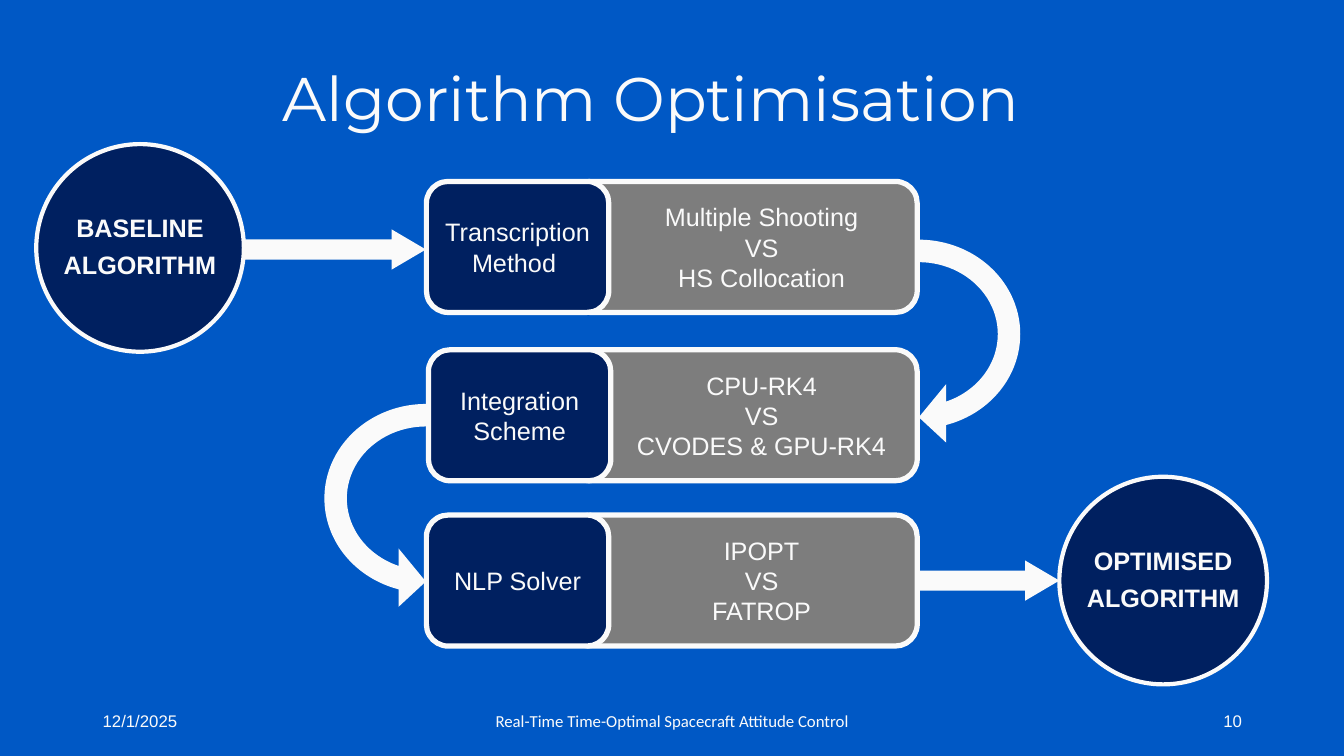
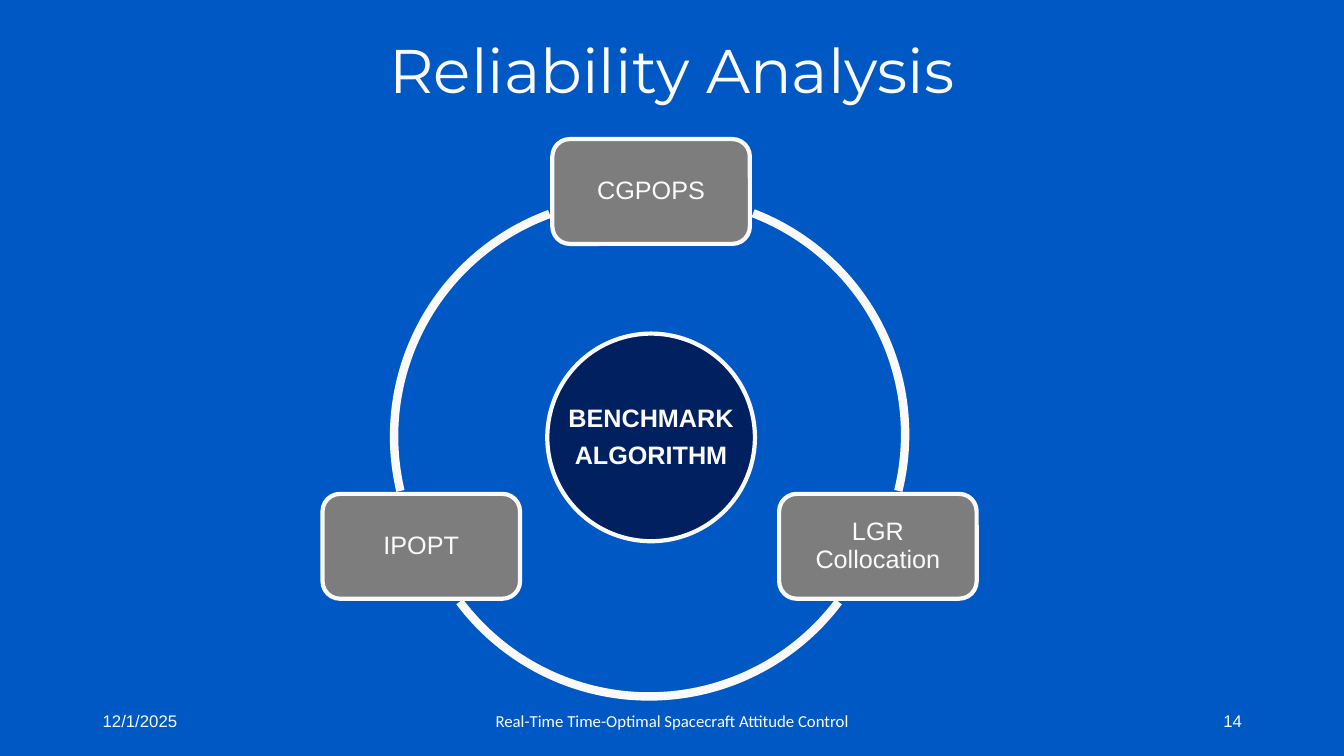
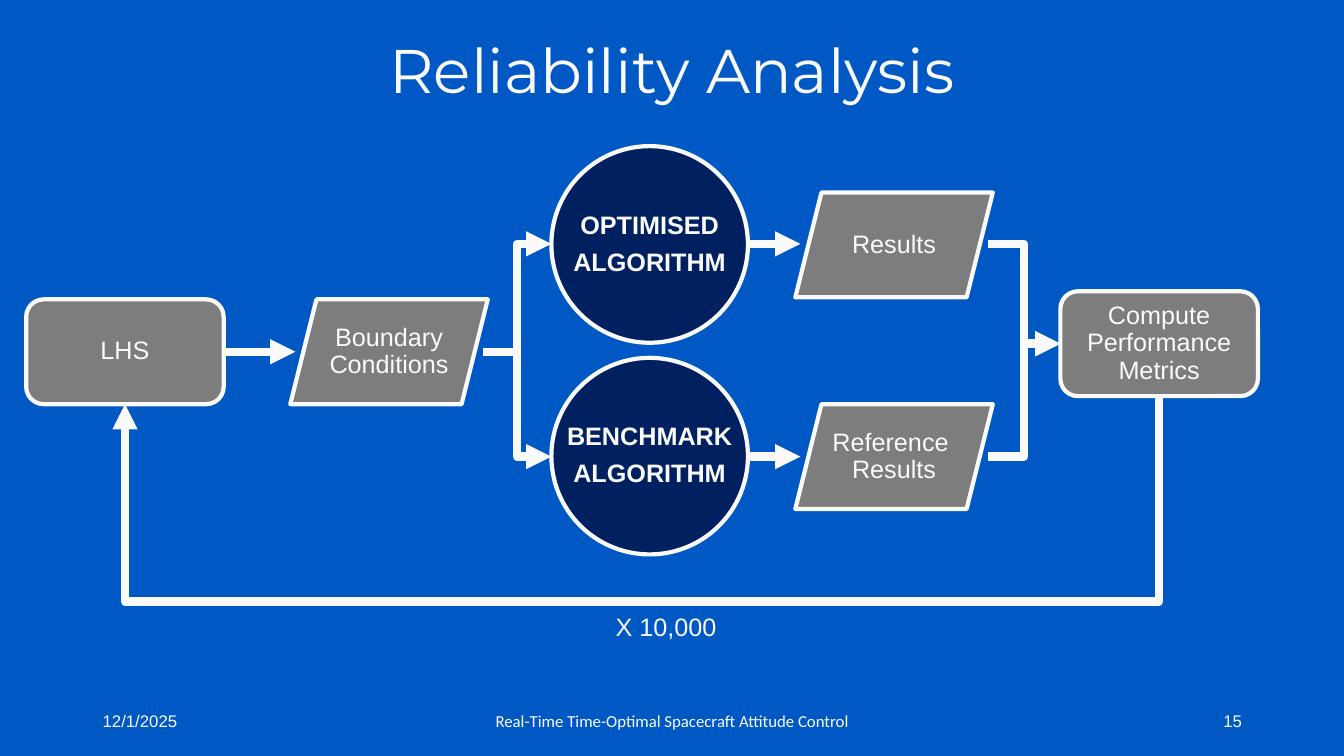
from dataclasses import dataclass

from lxml.etree import SubElement
from pptx import Presentation
from pptx.dml.color import RGBColor
from pptx.enum.shapes import MSO_CONNECTOR, MSO_SHAPE
from pptx.enum.text import MSO_ANCHOR, PP_ALIGN
from pptx.oxml.ns import qn
from pptx.presentation import Presentation as Deck
from pptx.shapes.autoshape import Shape
from pptx.shapes.connector import Connector
from pptx.slide import Slide
from pptx.text.text import TextFrame
from pptx.util import Emu, Pt

EMU_PER_PX = 9144


@dataclass(frozen=True)
class Theme:
    background: str = "0058C5"
    navy: str = "002060"
    grey: str = "7D7D7D"
    white: str = "FAFAFA"
    footer_white: str = "FBFBFB"
    body_font: str = "Arial"
    title_font: str = "Montserrat"
    footer_font: str = "Calibri"
    title_size: int = 44
    body_size: int = 18
    footer_size: int = 12
    outline: float = 3
    stage_outline: float = 3.75
    stroke: float = 6


THEME = Theme()


@dataclass(frozen=True)
class Area:
    left: int
    top: int
    width: int
    height: int


@dataclass(frozen=True)
class Stage:
    left: int
    top: int
    name: str
    options: tuple[str, ...]


@dataclass(frozen=True)
class Node:
    left: int
    top: int
    text: str
    kind: MSO_SHAPE = MSO_SHAPE.ROUNDED_RECTANGLE


@dataclass(frozen=True)
class Arc:
    left: int
    top: int
    start: float
    end: float


@dataclass(frozen=True)
class Link:
    begin: tuple[int, int]
    end: tuple[int, int]


def px(length: float) -> Emu:
    return Emu(round(length * EMU_PER_PX))


def place(area: Area) -> tuple[Emu, Emu, Emu, Emu]:
    return px(area.left), px(area.top), px(area.width), px(area.height)


def color(value: str) -> RGBColor:
    return RGBColor.from_string(value)


def write(
    frame: TextFrame,
    *paragraphs: str,
    size: int = THEME.body_size,
    font: str = THEME.body_font,
    ink: str = THEME.white,
    bold: bool = False,
    align: PP_ALIGN = PP_ALIGN.CENTER,
    anchor: MSO_ANCHOR = MSO_ANCHOR.MIDDLE,
    spacing: float = 1.0,
    after: int = 0,
    insets: tuple[int, int, int, int] = (10, 5, 10, 5),
    wrap: bool = True,
) -> None:
    frame.word_wrap = wrap
    frame.vertical_anchor = anchor
    frame.margin_left, frame.margin_top, frame.margin_right, frame.margin_bottom = map(px, insets)
    for index, text in enumerate(paragraphs):
        para = frame.add_paragraph() if index else frame.paragraphs[0]
        para.text = text
        para.alignment = align
        para.line_spacing = spacing
        para.space_after = Pt(after)
        for span in para.runs:
            span.font.size = Pt(size)
            span.font.name = font
            span.font.bold = bold
            span.font.color.rgb = color(ink)


def add_text(page: Slide, area: Area, text: str, **style) -> None:
    box = page.shapes.add_textbox(*place(area))
    write(box.text_frame, text, **style)


def add_figure(
    page: Slide,
    kind: MSO_SHAPE,
    area: Area,
    fill: str | None = None,
    outline: float = 0,
    adjustments: tuple[float, ...] = (),
    rotation: float = 0,
) -> Shape:
    shape = page.shapes.add_shape(kind, *place(area))
    shape.shadow.inherit = False
    shape.rotation = rotation
    for index, value in enumerate(adjustments):
        shape.adjustments[index] = value
    if fill:
        shape.fill.solid()
        shape.fill.fore_color.rgb = color(fill)
    else:
        shape.fill.background()
    if outline:
        shape.line.color.rgb = color(THEME.white)
        shape.line.width = Pt(outline)
    else:
        shape.line.fill.background()
    return shape


def add_algorithm(page: Slide, left: int, top: int, name: str, diameter: int = 206) -> None:
    circle = add_figure(
        page, MSO_SHAPE.OVAL, Area(left, top, diameter, diameter), THEME.navy, THEME.outline
    )
    write(
        circle.text_frame, name, "ALGORITHM",
        bold=True, spacing=0.9, after=7, insets=(0, 0, 0, 0), wrap=False,
    )


def add_node(page: Slide, node: Node) -> Shape:
    area = Area(node.left, node.top, 196, 104)
    shape = add_figure(page, node.kind, area, THEME.grey, THEME.outline)
    write(shape.text_frame, node.text, spacing=0.9, insets=(7, 7, 7, 7))
    return shape


def add_stage(page: Slide, stage: Stage) -> None:
    kind = MSO_SHAPE.ROUNDED_RECTANGLE
    options = add_figure(
        page, kind, Area(564, stage.top, 346, 130), THEME.grey, THEME.stage_outline
    )
    write(options.text_frame, *stage.options, insets=(47, 5, 10, 5))
    name = add_figure(
        page, kind, Area(stage.left, stage.top, 181, 130), THEME.navy, THEME.stage_outline
    )
    write(name.text_frame, stage.name)


def add_block_arrow(page: Slide, area: Area) -> None:
    add_figure(
        page, MSO_SHAPE.DOWN_ARROW, area, THEME.white, adjustments=(0.5, 0.85), rotation=270
    )


def add_turn_arrow(page: Slide, left: int, top: int, mirrored: bool = False) -> None:
    turn = add_figure(
        page, MSO_SHAPE.CIRCULAR_ARROW, Area(left, top, 223, 237), THEME.white,
        adjustments=(0.1, 11.42, 204.58, 107, 0.13), rotation=90,
    )
    if mirrored:
        turn.element.spPr.find(qn("a:xfrm")).set("flipV", "1")


def add_arc(page: Slide, arc: Arc) -> None:
    units_per_degree = 0.6
    add_figure(
        page, MSO_SHAPE.ARC, Area(arc.left, arc.top, 470, 470), outline=THEME.stroke,
        adjustments=(arc.start * units_per_degree, arc.end * units_per_degree),
    )


def add_arrow(page: Slide, link: Link) -> Connector:
    straight = link.begin[1] == link.end[1]
    kind = MSO_CONNECTOR.STRAIGHT if straight else MSO_CONNECTOR.ELBOW
    arrow = page.shapes.add_connector(kind, *map(px, link.begin + link.end))
    arrow.line.color.rgb = color(THEME.white)
    arrow.line.width = Pt(THEME.stroke)
    properties = arrow.element.spPr
    SubElement(properties.find(qn("a:ln")), qn("a:tailEnd"), type="triangle")
    SubElement(properties, qn("a:effectLst"))
    return arrow


def add_return_arrow(page: Slide, link: Link, drop: int) -> None:
    arrow = add_arrow(page, link)
    (begin_x, begin_y), (end_x, end_y) = link.begin, link.end
    width, height = end_y - begin_y, begin_x - end_x
    properties = arrow.element.spPr
    frame = properties.find(qn("a:xfrm"))
    frame.attrib.pop("flipH", None)
    frame.set("rot", str(90 * 60000))
    arrow.left = px((begin_x + end_x - width) / 2)
    arrow.top = px((begin_y + end_y - height) / 2)
    arrow.width, arrow.height = px(width), px(height)
    guides = properties.find(qn("a:prstGeom")).find(qn("a:avLst"))
    SubElement(guides, qn("a:gd"), name="adj1", fmla=f"val {round(drop / width * 100000)}")


def add_page(deck: Deck, title: str, number: int, title_left: int = 92, title_top: int = 0) -> Slide:
    page = deck.slides.add_slide(deck.slide_layouts[6])
    add_text(
        page, Area(title_left, title_top, 1150, 145), title,
        size=THEME.title_size, font=THEME.title_font, spacing=0.9,
    )
    footers = (
        (92, 300, "12/1/2025", THEME.body_font, PP_ALIGN.LEFT),
        (442, 450, "Real-Time Time-Optimal Spacecraft Attitude Control",
         THEME.footer_font, PP_ALIGN.CENTER),
        (942, 300, str(number), THEME.body_font, PP_ALIGN.RIGHT),
    )
    for left, width, text, font, align in footers:
        add_text(
            page, Area(left, 695, width, 40), text,
            size=THEME.footer_size, font=font, ink=THEME.footer_white, align=align,
        )
    return page


def build_optimisation(deck: Deck) -> None:
    page = add_page(deck, "Algorithm Optimisation", 10, title_left=71, title_top=28)
    add_algorithm(page, 36, 143, "BASELINE")
    add_algorithm(page, 1051, 473, "OPTIMISED")
    add_block_arrow(page, Area(312, 157, 40, 181))
    stages = (
        Stage(423, 511, "NLP Solver", ("IPOPT\vVS", "FATROP")),
        Stage(425, 347, "Integration Scheme", ("CPU-RK4\vVS", "CVODES & GPU-RK4")),
        Stage(423, 180, "Transcription Method ", ("Multiple Shooting\vVS", "HS Collocation")),
    )
    for stage in stages:
        add_stage(page, stage)
    add_block_arrow(page, Area(961, 506, 40, 140))
    add_turn_arrow(page, 800, 213)
    add_turn_arrow(page, 311, 376, mirrored=True)


def build_benchmark(deck: Deck) -> None:
    page = add_page(deck, "Reliability Analysis", 14)
    nodes = (
        Node(548, 138, "CGPOPS"),
        Node(773, 490, "LGR\vCollocation"),
        Node(320, 490, "IPOPT"),
    )
    arcs = (
        Arc(428, 196, 291, 13.8),
        Arc(409, 221, 36.9, 143.1),
        Arc(391, 198, 166.7, 249.9),
    )
    for node, arc in zip(nodes, arcs):
        add_node(page, node)
        add_arc(page, arc)
    add_algorithm(page, 543, 331, "BENCHMARK")


def build_comparison(deck: Deck) -> None:
    page = add_page(deck, "Reliability Analysis", 15)
    for top, name in ((145, "OPTIMISED"), (355, "BENCHMARK")):
        add_algorithm(page, 547, top, name, diameter=195)
    nodes = (
        Node(789, 401, "Reference \vResults", MSO_SHAPE.PARALLELOGRAM),
        Node(789, 191, "Results", MSO_SHAPE.PARALLELOGRAM),
        Node(1052, 289, "Compute\vPerformance\vMetrics"),
        Node(288, 297, "Boundary Conditions", MSO_SHAPE.PARALLELOGRAM),
    )
    for node in nodes:
        add_node(page, node)
    sampling = add_node(page, Node(26, 297, "LHS"))
    for row in (453, 242):
        add_arrow(page, Link((479, 349), (547, row)))
        add_arrow(page, Link((742, row), (794, row)))
        add_arrow(page, Link((980, row), (1052, 341)))
    sampling_arrow = add_arrow(page, Link((222, 349), (293, 349)))
    sampling_arrow.begin_connect(sampling, 3)
    add_return_arrow(page, Link((1150, 393), (124, 401)), drop=204)
    add_text(
        page, Area(601, 602, 222, 40), "X 10,000", align=PP_ALIGN.LEFT, anchor=MSO_ANCHOR.TOP
    )


def main() -> None:
    deck = Presentation()
    deck.slide_width, deck.slide_height = px(1333.33), px(750)
    backdrop = deck.slide_master.background.fill
    backdrop.solid()
    backdrop.fore_color.rgb = color(THEME.background)
    build_optimisation(deck)
    build_benchmark(deck)
    build_comparison(deck)
    deck.save("out.pptx")


if __name__ == "__main__":
    main()
